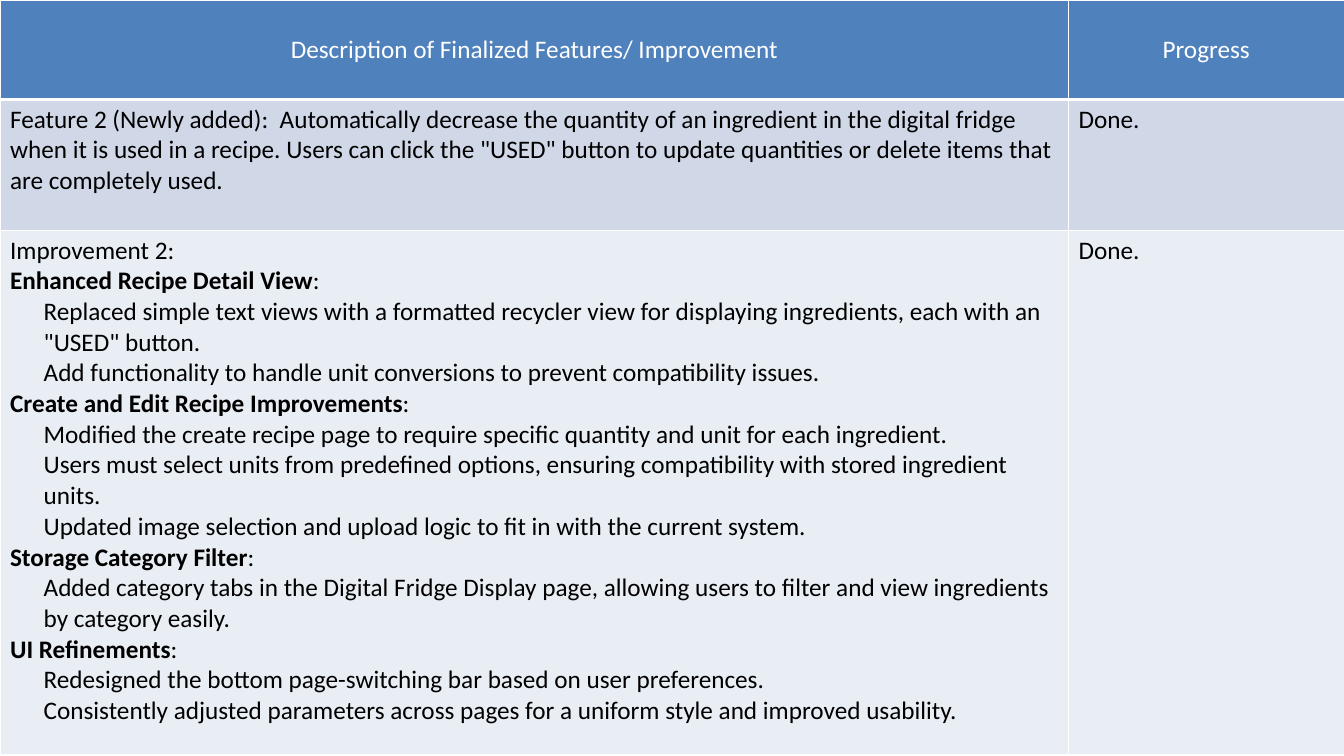
"""Build a progress slide with one full-page table of features and improvements."""
import lxml.etree
import pptx
import pptx.dml.color
import pptx.enum.text
import pptx.oxml.ns
import pptx.util

ALIGN = pptx.enum.text.PP_ALIGN
ANCHOR = pptx.enum.text.MSO_ANCHOR
qn = pptx.oxml.ns.qn


def rgb(value):
    return pptx.dml.color.RGBColor.from_string(value)


def add_text(p, text, size=27, color="000000", bold=False, align=ALIGN.LEFT, indent=0):
    p.alignment = align
    if indent:
        p.level = 1
        pPr = p._p.get_or_add_pPr()
        pPr.set("marL", str(indent))
        pPr.set("indent", "0")
    r = p.add_run()
    r.text = text
    r.font.name = "Calibri"
    r.font.size = pptx.util.Pt(size)
    r.font.bold = bold
    r.font.color.rgb = rgb(color)


prs = pptx.Presentation()
prs.slide_width = W = pptx.util.Inches(20)
prs.slide_height = H = pptx.util.Inches(11.25)
s = prs.slides.add_slide(prs.slide_layouts[6])

col_percents = [79.5, 20.5]
row_percents = [13.16, 17.33, 69.33]
row_fills = ["4F81BD", "D0D8E8", "E9EDF4"]
table = s.shapes.add_table(3, 2, 0, 0, W, int(H * sum(row_percents) / 100)).table
for col, percent in zip(table.columns, col_percents):
    col.width = int(W * percent / 100)
for row, percent in zip(table.rows, row_percents):
    row.height = int(H * percent / 100)

for i, fill in enumerate(row_fills):
    for cell in table.rows[i].cells:
        cell.fill.solid()
        cell.fill.fore_color.rgb = rgb(fill)
        cell.margin_left = cell.margin_right = pptx.util.Inches(0.15)
        cell.margin_top = cell.margin_bottom = pptx.util.Inches(0.07)
        cell.vertical_anchor = ANCHOR.TOP if i else ANCHOR.MIDDLE
        tcPr = cell._tc.get_or_add_tcPr()
        for k, side in enumerate(["lnL", "lnR", "lnT", "lnB"]):
            width = 3 if i == 0 and side == "lnB" else 1
            ln = lxml.etree.Element(qn("a:" + side), w=str(pptx.util.Pt(width)))
            solid = lxml.etree.SubElement(ln, qn("a:solidFill"))
            lxml.etree.SubElement(solid, qn("a:srgbClr"), val="FFFFFF")
            tcPr.insert(k, ln)

headings = ["Description of Finalized Features/ Improvement", "Progress"]
for cell, text in zip(table.rows[0].cells, headings):
    add_text(cell.text_frame.paragraphs[0], text, color="FFFFFF", align=ALIGN.CENTER)

feature = (
    "Feature 2 (Newly added):  Automatically decrease the quantity of an ingredient "
    "in the digital fridge when it is used in a recipe. Users can click the \"USED\" "
    "button to update quantities or delete items that are completely used."
)
for i, text in enumerate([feature, "Improvement 2:"], start=1):
    add_text(table.cell(i, 0).text_frame.paragraphs[0], text)
    add_text(table.cell(i, 1).text_frame.paragraphs[0], "Done.")

improvements = {
    "Enhanced Recipe Detail View": [
        "Replaced simple text views with a formatted recycler view for displaying "
        "ingredients, each with an \"USED\" button.",
        "Add functionality to handle unit conversions to prevent compatibility issues.",
    ],
    "Create and Edit Recipe Improvements": [
        "Modified the create recipe page to require specific quantity and unit for each ingredient.",
        "Users must select units from predefined options, ensuring compatibility with "
        "stored ingredient units.",
        "Updated image selection and upload logic to fit in with the current system.",
    ],
    "Storage Category Filter": [
        "Added category tabs in the Digital Fridge Display page, allowing users to "
        "filter and view ingredients by category easily.",
    ],
    "UI Refinements": [
        "Redesigned the bottom page-switching bar based on user preferences.",
        "Consistently adjusted parameters across pages for a uniform style and improved usability.",
    ],
}
tf = table.cell(2, 0).text_frame
for heading, details in improvements.items():
    p = tf.add_paragraph()
    add_text(p, heading, bold=True)
    add_text(p, ":")
    for detail in details:
        add_text(tf.add_paragraph(), detail, indent=pptx.util.Inches(0.5))

prs.save("out.pptx")
